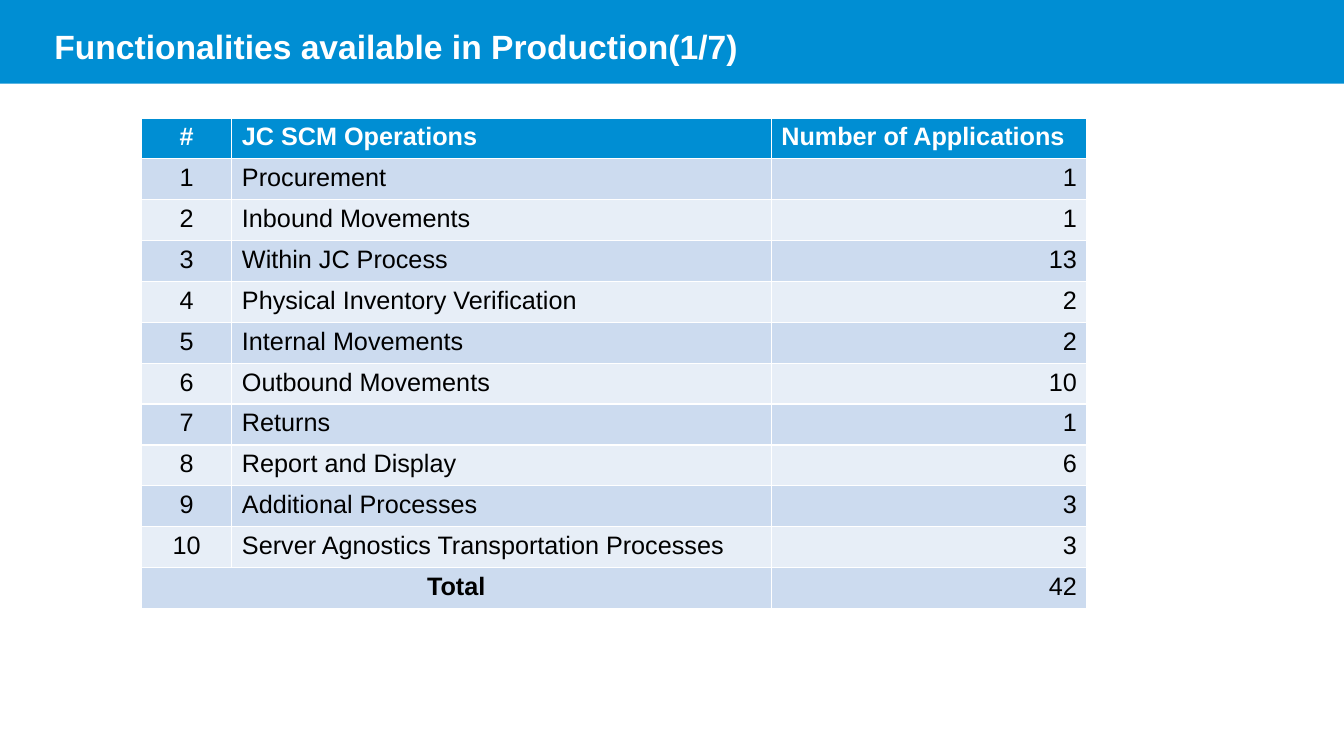
from pptx import Presentation, util as u
from pptx.dml.color import RGBColor
from pptx.enum import shapes, text

BLUE = RGBColor(0x00, 0x8E, 0xD3)
BAND_DARK = RGBColor(0xCC, 0xDB, 0xEF)
BAND_LIGHT = RGBColor(0xE7, 0xEE, 0xF7)
WHITE = RGBColor(0xFF, 0xFF, 0xFF)
BLACK = RGBColor(0x00, 0x00, 0x00)

HEADINGS = ("#", "JC SCM Operations", "Number of Applications")
OPERATIONS = [
    ("Procurement", 1),
    ("Inbound Movements", 1),
    ("Within JC Process", 13),
    ("Physical Inventory Verification", 2),
    ("Internal Movements", 2),
    ("Outbound Movements", 10),
    ("Returns", 1),
    ("Report and Display", 6),
    ("Additional Processes", 3),
    ("Server Agnostics Transportation Processes", 3),
]
COLUMN_WIDTHS = (0.9, 5.35, 3.13)
TABLE_HEIGHT = 4.87
LEFT, CENTER, RIGHT = text.PP_ALIGN.LEFT, text.PP_ALIGN.CENTER, text.PP_ALIGN.RIGHT


def write(paragraph, content, alignment, **font_format):
    paragraph.text = content
    paragraph.alignment = alignment
    for name, value in {"name": "Arial", **font_format}.items():
        if name == "color":
            paragraph.font.color.rgb = value
        else:
            setattr(paragraph.font, name, value)


presentation = Presentation()
presentation.slide_width = u.Inches(13.33)
presentation.slide_height = u.Inches(7.5)
slide = presentation.slides.add_slide(presentation.slide_layouts[5])

# Header bar, placed behind the title
bar = slide.shapes.add_shape(shapes.MSO_SHAPE.RECTANGLE, 0, 0,
                             presentation.slide_width, u.Inches(0.83))
bar.shadow.inherit = False
bar.fill.solid()
bar.fill.fore_color.rgb = BLUE
bar.line.fill.background()
title = slide.shapes.title
bar._element.addnext(title._element)

# Title
title.left, title.top, title.width, title.height = map(
    u.Inches, (0.44, 0.18, 11.78, 0.57))
frame_format = {"vertical_anchor": text.MSO_ANCHOR.TOP, "margin_top": u.Inches(0.08),
                "auto_size": text.MSO_AUTO_SIZE.NONE, "word_wrap": True}
for name, value in frame_format.items():
    setattr(title.text_frame, name, value)
write(title.text_frame.paragraphs[0], "Functionalities available in Production(1/7)",
      LEFT, size=u.Pt(24), bold=True, color=WHITE)

# Table rows: headings, numbered operations, total
total = sum(count for _, count in OPERATIONS)
rows = [HEADINGS]
rows += [(number, *operation) for number, operation in enumerate(OPERATIONS, 1)]
rows += [("Total", "", total)]

table = slide.shapes.add_table(
    len(rows), len(HEADINGS), u.Inches(1.4), u.Inches(1.17),
    u.Inches(sum(COLUMN_WIDTHS)), u.Inches(TABLE_HEIGHT)).table
for column, width in zip(table.columns, COLUMN_WIDTHS):
    column.width = u.Inches(width)

last = len(rows) - 1
table.cell(last, 0).merge(table.cell(last, 1))
for row_index, values in enumerate(rows):
    is_header = row_index == 0
    band = BLUE if is_header else BAND_DARK if row_index % 2 else BAND_LIGHT
    alignments = (CENTER, LEFT, LEFT if is_header else RIGHT)
    for column_index, (value, alignment) in enumerate(zip(values, alignments)):
        cell = table.cell(row_index, column_index)
        cell.fill.solid()
        cell.fill.fore_color.rgb = band
        if cell.is_spanned:
            continue
        write(cell.text_frame.paragraphs[0], str(value), alignment, size=u.Pt(18),
              bold=is_header or value == "Total", color=WHITE if is_header else BLACK)

presentation.save("out.pptx")
